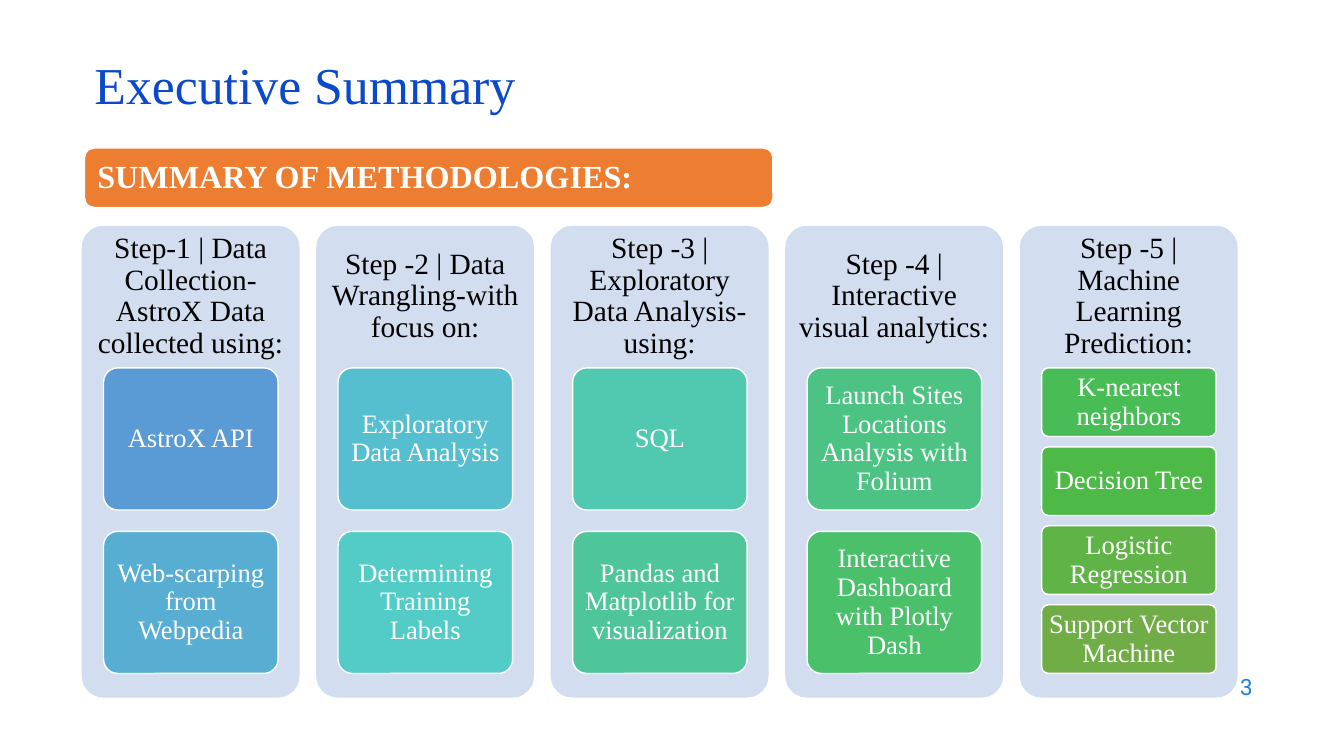
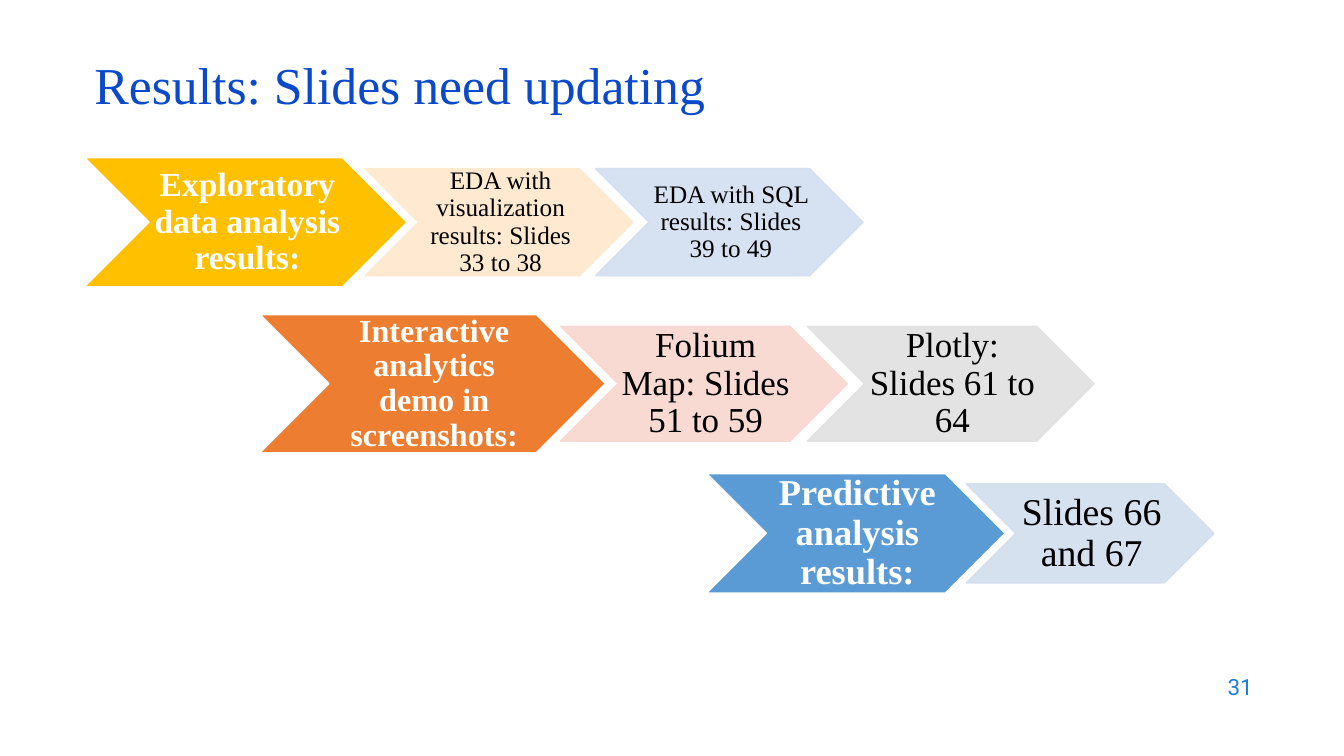
from lxml import etree
from pptx import Presentation
from pptx.dml.color import RGBColor
from pptx.enum import shapes, text
from pptx.oxml import ns
from pptx.util import Cm, Pt

WHITE = RGBColor(0xFF, 0xFF, 0xFF)
BLACK = RGBColor(0x00, 0x00, 0x00)
TITLE_BLUE = RGBColor(0x0B, 0x49, 0xCB)
NUMBER_BLUE = RGBColor(0x1C, 0x7D, 0xDB)
ORANGE = RGBColor(0xED, 0x7D, 0x31)
GOLD = RGBColor(0xFF, 0xC0, 0x00)
BLUE = RGBColor(0x5B, 0x9B, 0xD5)
PALE_BLUE = RGBColor(0xD2, 0xDE, 0xEF)
PALE_SKY = RGBColor(0xD2, 0xDF, 0xF0)
PALE_GOLD = RGBColor(0xFF, 0xE8, 0xCC)
PALE_ORANGE = RGBColor(0xF8, 0xD7, 0xCE)
PALE_GRAY = RGBColor(0xE1, 0xE1, 0xE1)
SKY = RGBColor(0x58, 0xAD, 0xD2)
CYAN = RGBColor(0x56, 0xBF, 0xCF)
TURQUOISE = RGBColor(0x53, 0xCC, 0xC8)
AQUA = RGBColor(0x51, 0xC9, 0xB0)
MINT = RGBColor(0x4F, 0xC6, 0x99)
SEA_GREEN = RGBColor(0x4C, 0xC3, 0x82)
EMERALD = RGBColor(0x4A, 0xC0, 0x6B)
GREEN = RGBColor(0x48, 0xBC, 0x55)
LEAF = RGBColor(0x4D, 0xB9, 0x46)
GRASS = RGBColor(0x60, 0xB3, 0x47)
OLIVE = RGBColor(0x70, 0xAD, 0x47)

SERIF = "Times New Roman"
LEFT, CENTER, RIGHT = text.PP_ALIGN.LEFT, text.PP_ALIGN.CENTER, text.PP_ALIGN.RIGHT
ROUNDED = shapes.MSO_SHAPE.ROUNDED_RECTANGLE
CHEVRON = shapes.MSO_SHAPE.CHEVRON

STEPS = [
    ("Step-1 | Data Collection-AstroX Data collected using:",
     [("AstroX API", BLUE), ("Web-scarping from Webpedia", SKY)]),
    ("Step -2 | Data Wrangling-with focus on:",
     [("Exploratory Data Analysis", CYAN), ("Determining Training Labels", TURQUOISE)]),
    ("Step -3 | Exploratory Data Analysis-using:",
     [("SQL", AQUA), ("Pandas and Matplotlib for visualization", MINT)]),
    ("Step -4 | Interactive visual analytics:",
     [("Launch Sites Locations Analysis with Folium", SEA_GREEN),
      ("Interactive Dashboard with Plotly Dash", EMERALD)]),
    ("Step -5 | Machine Learning Prediction:",
     [("K-nearest neighbors", GREEN), ("Decision Tree", LEAF),
      ("Logistic Regression", GRASS), ("Support Vector Machine", OLIVE)]),
]

RESULTS = [
    (2.13, 5.6, 8.13, GOLD, "Exploratory data analysis results:", 24, 18,
     [("EDA with visualization results: Slides 33 to 38", PALE_GOLD),
      ("EDA with SQL results: Slides 39 to 49", PALE_SKY)]),
    (6.55, 9.67, 8.71, ORANGE, "Interactive analytics demo in screenshots:", 23, 25,
     [("Folium Map: Slides 51 to 59", PALE_ORANGE),
      ("Plotly: Slides 61 to 64", PALE_GRAY)]),
    (17.81, 13.44, 7.52, BLUE, "Predictive analysis results:", 26, 27,
     [("Slides 66 and 67", PALE_BLUE)]),
]


class Deck:
    """Builds slides that share one title, number and shape style."""

    def __init__(self):
        self.presentation = Presentation()
        self.presentation.slide_width = Cm(33.87)
        self.presentation.slide_height = Cm(19.05)
        self.slide = None

    def set_text(self, shape, wording, size, color, align=CENTER, bold=False,
                 font=SERIF, spacing=0.9, margins=(0.25, 0.13, 0.25, 0.13)):
        frame = shape.text_frame
        frame.text = wording
        frame.word_wrap = True
        frame.auto_size = text.MSO_AUTO_SIZE.NONE
        frame.vertical_anchor = text.MSO_ANCHOR.MIDDLE
        (frame.margin_left, frame.margin_top,
         frame.margin_right, frame.margin_bottom) = map(Cm, margins)
        paragraph = frame.paragraphs[0]
        paragraph.alignment = align
        paragraph.line_spacing = spacing
        paragraph.font.name = font
        paragraph.font.size = Pt(size)
        paragraph.font.bold = bold
        paragraph.font.color.rgb = color

    def new_slide(self, title, number):
        layout = self.presentation.slide_layouts[5]
        self.slide = self.presentation.slides.add_slide(layout)
        heading = self.slide.shapes.title
        heading.left, heading.top = Cm(2.13), Cm(1.5)
        heading.width, heading.height = Cm(29.2), Cm(1.52)
        self.set_text(heading, title, 37, TITLE_BLUE, LEFT, spacing=0.8)
        self.label(24.2, 16.74, 7.62, 1.12, str(number), 16, NUMBER_BLUE,
                   align=RIGHT, font="Roboto", spacing=1.0)

    def label(self, left, top, width, height, wording, size, color, **style):
        box = self.slide.shapes.add_textbox(Cm(left), Cm(top), Cm(width), Cm(height))
        self.set_text(box, wording, size, color, **style)

    def shape(self, kind, left, top, width, height, fill, line=WHITE, corner=None):
        shape = self.slide.shapes.add_shape(
            kind, Cm(left), Cm(top), Cm(width), Cm(height))
        shape.shadow.inherit = False
        shape.fill.solid()
        shape.fill.fore_color.rgb = fill
        shape.line.color.rgb = line
        shape.line.width = Pt(1)
        if corner is not None:
            shape.adjustments[0] = corner
        return shape

    def banner(self, wording):
        shape = self.shape(ROUNDED, 2.13, 3.73, 17.35, 1.5, ORANGE)
        self.set_text(shape, wording, 23, WHITE, LEFT, True, margins=(0.25,) * 4)

    def step(self, left, heading, tasks):
        panel = self.shape(ROUNDED, left, 5.69, 5.49, 11.89, PALE_BLUE, corner=0.1)
        panel.line.fill.background()
        self.label(left, 5.69, 5.49, 3.56, heading, 21, BLACK, margins=(0.23,) * 4)
        gap = 0.15
        height = 7.7 / (len(tasks) + gap * (len(tasks) - 1))
        for row, (wording, color) in enumerate(tasks):
            top = 9.27 + row * height * (1 + gap)
            task = self.shape(ROUNDED, left + 0.55, top, 4.4, height, color, corner=0.1)
            self.set_text(task, wording, 19, WHITE, margins=(0.13, 0.1, 0.13, 0.1))

    def chevron(self, left, middle, width, fill, line, wording, size, color, bold=False):
        height = width * 0.4
        shape = self.shape(CHEVRON, left, middle - height / 2, width, height, fill, line)
        self.set_text(shape, wording, size, color, bold=bold, margins=(0.08, 0.05, 0, 0.05))
        return shape

    def soften(self, shape):
        for color in shape._element.spPr.iter(ns.qn("a:srgbClr")):
            etree.SubElement(color, ns.qn("a:alpha"), val="90000")

    def result(self, left, middle, width, fill, heading, size, detail_size, details):
        self.chevron(left, middle, width, fill, WHITE, heading, size, WHITE, True)
        detail_width = width * 0.83
        for column, (wording, color) in enumerate(details):
            detail_left = left + width * 0.87 + column * detail_width * 0.86
            self.soften(self.chevron(detail_left, middle, detail_width, color, color,
                                     wording, detail_size, BLACK))


def main():
    deck = Deck()
    deck.new_slide("Executive Summary", 3)
    deck.banner("SUMMARY OF METHODOLOGIES:")
    for column, (heading, tasks) in enumerate(STEPS):
        deck.step(2.06 + column * 5.91, heading, tasks)

    deck.new_slide("Results: Slides need updating", 31)
    for result in RESULTS:
        deck.result(*result)
    deck.presentation.save("out.pptx")


if __name__ == "__main__":
    main()
